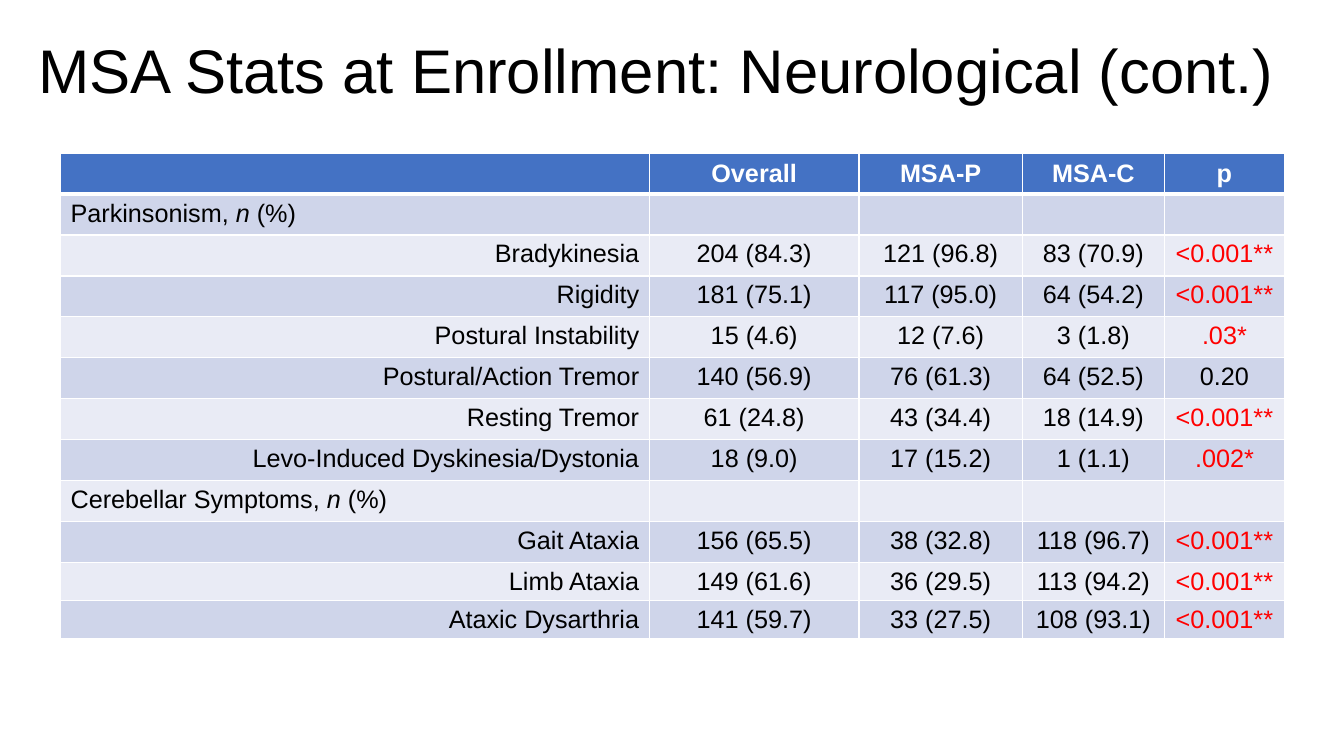
from lxml import etree
from pptx import Presentation
from pptx.dml.color import RGBColor
from pptx.enum.text import MSO_ANCHOR as Anchor, PP_ALIGN as Align
from pptx.oxml.ns import qn
from pptx.util import Inches, Pt

FONT = "Arial"
WHITE, BLACK, RED = "FFFFFF", "000000", "FF0000"
HEADER_FILL = "4472C4"
BAND_FILLS = ("E9EBF5", "CFD5EA")
COLUMN_WIDTHS = (5.84, 2.08, 1.62, 1.41, 1.19)
TALL_ROW, SHORT_ROW, SHORT_COUNT = 4.06 / 10, 0.38, 2

# One entry per table row; a single-item row is a section heading
ROWS = [
    ("", "Overall", "MSA-P", "MSA-C", "p"),
    ("Parkinsonism",),
    ("Bradykinesia", "204 (84.3)", "121 (96.8)", "83 (70.9)", "<0.001**"),
    ("Rigidity", "181 (75.1)", "117 (95.0)", "64 (54.2)", "<0.001**"),
    ("Postural Instability", "15 (4.6)", "12 (7.6)", "3 (1.8)", ".03*"),
    ("Postural/Action Tremor", "140 (56.9)", "76 (61.3)", "64 (52.5)", "0.20"),
    ("Resting Tremor", "61 (24.8)", "43 (34.4)", "18 (14.9)", "<0.001**"),
    ("Levo-Induced Dyskinesia/Dystonia", "18 (9.0)", "17 (15.2)", "1 (1.1)", ".002*"),
    ("Cerebellar Symptoms",),
    ("Gait Ataxia", "156 (65.5)", "38 (32.8)", "118 (96.7)", "<0.001**"),
    ("Limb Ataxia", "149 (61.6)", "36 (29.5)", "113 (94.2)", "<0.001**"),
    ("Ataxic Dysarthria", "141 (59.7)", "33 (27.5)", "108 (93.1)", "<0.001**"),
]


def paint(target, color):
    """Apply a hex colour to a fill or a font."""
    if hasattr(target, "solid"):
        target.solid()
        target.fore_color.rgb = RGBColor.from_string(color)
    else:
        target.color.rgb = RGBColor.from_string(color)


def format_font(font, size, color, bold=False):
    font.name, font.size, font.bold = FONT, Pt(size), bold
    paint(font, color)


def add_borders(cell, top, bottom):
    """White cell borders; top and bottom widths are in points."""
    properties = cell._tc.get_or_add_tcPr()
    for side, width in (("L", 1), ("R", 1), ("T", top), ("B", bottom)):
        line = etree.SubElement(properties, qn(f"a:ln{side}"), w=str(Pt(width)))
        fill = etree.SubElement(line, qn("a:solidFill"))
        etree.SubElement(fill, qn("a:srgbClr"), val=WHITE)


def add_title(slide, text, left, top, width, height):
    title = slide.shapes.title
    title.left, title.top, title.width, title.height = map(Inches, (left, top, width, height))
    frame = title.text_frame
    frame.text = text
    frame.vertical_anchor = Anchor.MIDDLE
    paragraph = frame.paragraphs[0]
    paragraph.alignment = Align.LEFT
    paragraph.line_spacing = 0.9
    format_font(paragraph.font, 44, BLACK)


def fill_cell(cell, text, row, column, is_section):
    is_header = row == 0
    add_borders(cell, top=3 if row == 1 else 1, bottom=3 if is_header else 1)
    paint(cell.fill, HEADER_FILL if is_header else BAND_FILLS[row % 2])
    if is_header:
        cell.vertical_anchor = Anchor.MIDDLE
    paragraph = cell.text_frame.paragraphs[0]
    color = WHITE if is_header else RED if "*" in text else BLACK
    format_font(paragraph.font, 18, color, bold=is_header)
    if is_section and text:
        for part in (f"{text}, ", "n", " (%)"):
            run = paragraph.add_run()
            run.text = part
            run.font.italic = part == "n"
    elif text:
        paragraph.add_run().text = text
        paragraph.alignment = Align.CENTER if column else Align.RIGHT


def add_stats_table(slide, left, top):
    tall_count = len(ROWS) - SHORT_COUNT
    heights = [TALL_ROW] * tall_count + [SHORT_ROW] * SHORT_COUNT
    table = slide.shapes.add_table(
        len(ROWS), len(COLUMN_WIDTHS), Inches(left), Inches(top),
        Inches(sum(COLUMN_WIDTHS)), Inches(sum(heights))).table
    for column, width in zip(table.columns, COLUMN_WIDTHS):
        column.width = Inches(width)
    for row, values in enumerate(ROWS):
        table.rows[row].height = Inches(heights[row])
        for column in range(len(COLUMN_WIDTHS)):
            text = values[column] if column < len(values) else ""
            fill_cell(table.cell(row, column), text, row, column, len(values) == 1)


presentation = Presentation()
presentation.slide_width, presentation.slide_height = Inches(13.33), Inches(7.5)
slide = presentation.slides.add_slide(presentation.slide_layouts[5])
paint(slide.background.fill, WHITE)
add_title(slide, "MSA Stats at Enrollment: Neurological (cont.)", 0.28, 0, 13.05, 1.45)
add_stats_table(slide, 0.6, 1.52)
presentation.save("out.pptx")
